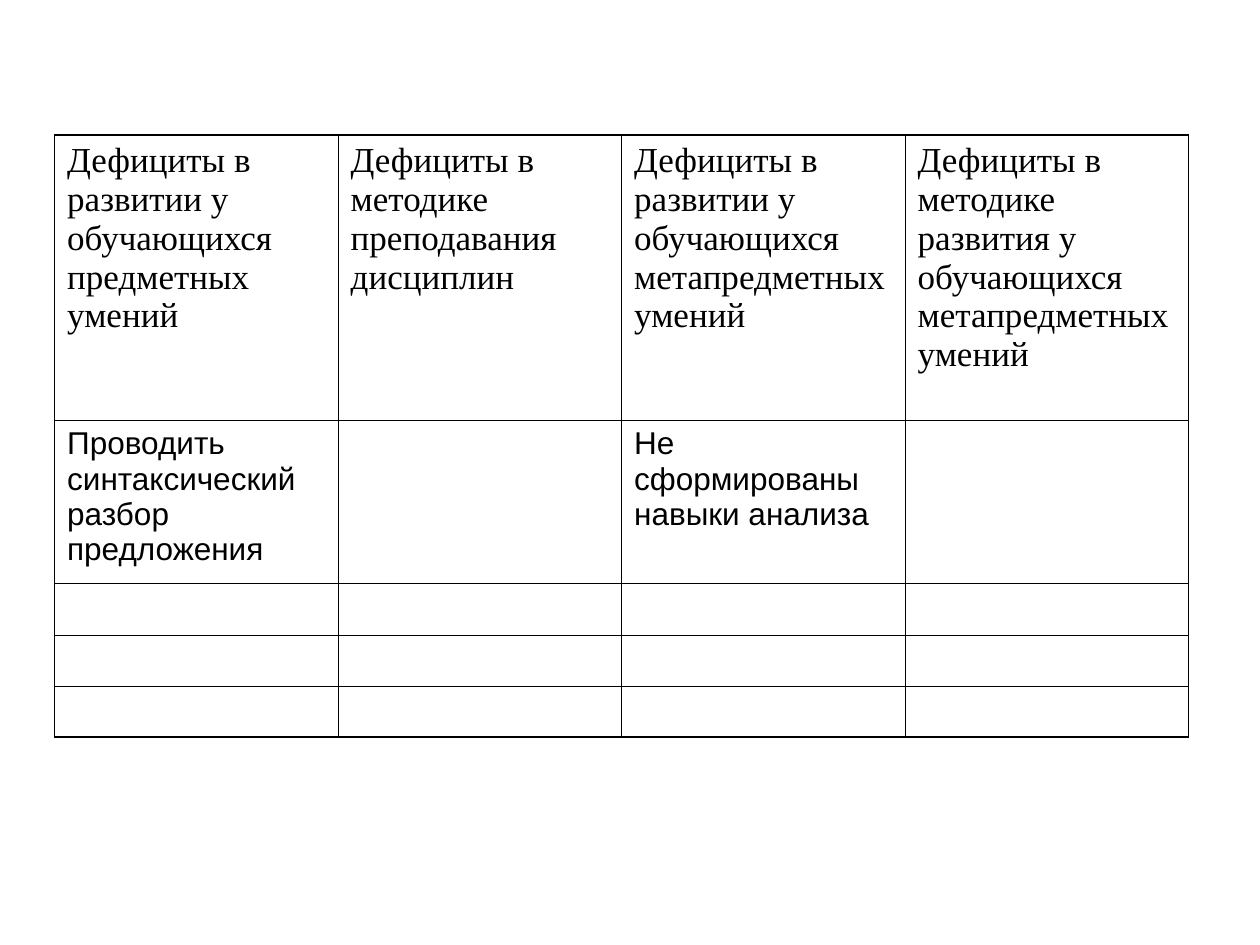
from dataclasses import dataclass

from lxml import etree
from pptx import Presentation
from pptx.dml.color import RGBColor
from pptx.enum.text import MSO_ANCHOR, PP_ALIGN
from pptx.oxml.ns import qn
from pptx.util import Pt

LEFT = PP_ALIGN.LEFT
TOP = MSO_ANCHOR.TOP


@dataclass(frozen=True)
class Theme:
    ink: str = "000000"
    header_font: str = "Times New Roman"
    body_font: str = "Arial"
    header_size: float = 20
    body_size: float = 18
    outer_line: float = 1.08
    inner_line: float = 0.45
    space_ratio: float = 0.25


class SlideBuilder:
    def __init__(self, slide, theme):
        self.slide = slide
        self.theme = theme

    def table(self, left, top, column_widths, row_heights, rows):
        shape = self.slide.shapes.add_table(
            len(row_heights), len(column_widths), Pt(left), Pt(top),
            Pt(sum(column_widths)), Pt(sum(row_heights)))
        table = shape.table
        table.first_row = table.horz_banding = False
        for column, width in zip(table.columns, column_widths):
            column.width = Pt(width)
        for row, height in zip(table.rows, row_heights):
            row.height = Pt(height)

        last_row, last_column = len(row_heights) - 1, len(column_widths) - 1
        for i, texts in enumerate(rows):
            for j, text in enumerate(texts):
                cell = table.cell(i, j)
                # Heavier line on the outside of the grid
                self.borders(cell, {"L": j == 0, "R": j == last_column,
                                    "T": i == 0, "B": i == last_row})
                cell.fill.background()
                self.cell_text(cell, text, is_header=i == 0)

    def borders(self, cell, outer_sides):
        properties = cell._tc.get_or_add_tcPr()
        for side, is_outer in outer_sides.items():
            width = self.theme.outer_line if is_outer else self.theme.inner_line
            line = etree.SubElement(properties, qn(f"a:ln{side}"), w=str(Pt(width)))
            fill = etree.SubElement(line, qn("a:solidFill"))
            etree.SubElement(fill, qn("a:srgbClr"), val=self.theme.ink)

    def cell_text(self, cell, text, is_header):
        theme = self.theme
        size = theme.header_size if is_header else theme.body_size
        cell_format = {"margin_left": Pt(7.2), "margin_right": Pt(7.2),
                       "margin_top": Pt(3.6), "margin_bottom": Pt(3.6),
                       "vertical_anchor": TOP}
        paragraph_format = {"alignment": LEFT,
                            "space_before": Pt(size * theme.space_ratio)}
        font_format = {"name": theme.header_font if is_header else theme.body_font,
                       "size": Pt(size), "bold": False}

        cell.text = text
        paragraph = cell.text_frame.paragraphs[0]
        targets = [(cell, cell_format)]
        if text:
            font = paragraph.runs[0].font
            font.color.rgb = RGBColor.from_string(theme.ink)
            targets += [(paragraph, paragraph_format), (font, font_format)]
        for target, values in targets:
            for name, value in values.items():
                setattr(target, name, value)


def main():
    presentation = Presentation()
    presentation.slide_width, presentation.slide_height = Pt(720), Pt(540)
    slide = presentation.slides.add_slide(presentation.slide_layouts[6])
    builder = SlideBuilder(slide, Theme())

    # Table of deficits: headings, one example and blank rows to fill in
    headings = [
        "Дефициты в развитии у обучающихся предметных умений",
        "Дефициты в методике преподавания дисциплин",
        "Дефициты в развитии у обучающихся метапредметных умений",
        "Дефициты в методике развития у обучающихся метапредметных умений",
    ]
    example = ["Проводить синтаксический разбор предложения", "",
               "Не сформированы навыки анализа", ""]
    blank_rows = [[""] * 4] * 3
    builder.table(left=31.2, top=77.1, column_widths=[162] * 4,
                  row_heights=[162.9, 93.6] + [29] * 3,
                  rows=[headings, example] + blank_rows)

    presentation.save("out.pptx")


if __name__ == "__main__":
    main()
